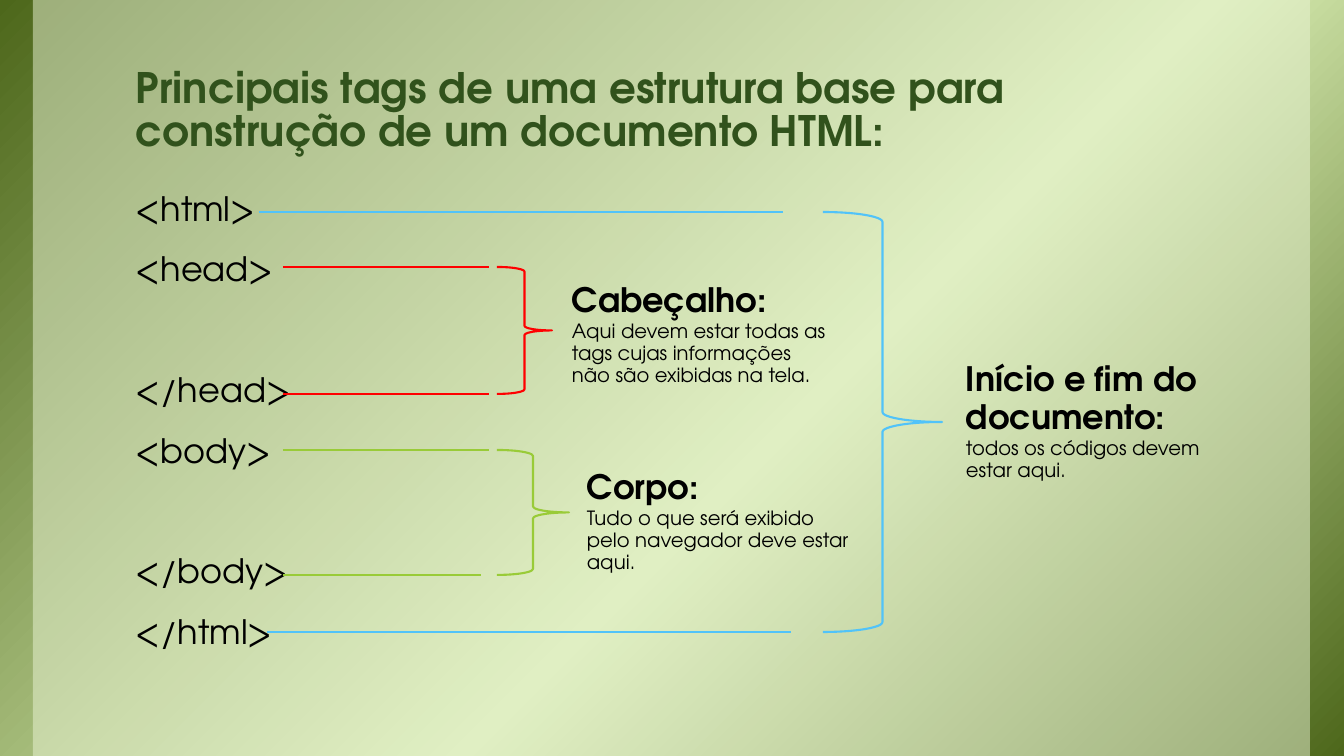
"""Builds a slide that explains the base tags of an HTML document."""
from copy import deepcopy

from lxml.etree import SubElement
from pptx import Presentation
from pptx.dml.color import RGBColor
from pptx.enum.shapes import MSO_CONNECTOR, MSO_SHAPE
from pptx.enum.text import MSO_ANCHOR, MSO_AUTO_SIZE, PP_ALIGN
from pptx.oxml.ns import qn
from pptx.util import Pt

PX = 914400 / 100.8
WIDTH, HEIGHT = 1344, 756
FONT = "TeX Gyre Adventor"
BLUE, RED, GREEN = "51C3F9", "FF0000", "99CB38"
BACKDROP = [(0, "4D671B"), (0.58, "D6EAAF"), (1, "4D671B")]
TITLE = "Principais tags de uma estrutura base para construção de um documento HTML:"
TITLE_BOX, TAGS_BOX = (123, 8, 1120, 154), (123, 187, 1120, 493)
STEP, GAP = 18.7, 61.8
TAGS = [("<html>", STEP), ("<head>", STEP), ("</head>", GAP),
        ("<body>", STEP), ("</body>", GAP), ("</html>", STEP)]
# Each section: colour, top and bottom y, line spans, brace x and width
SECTIONS = [
    (BLUE, 212, 632, (259, 783), (267, 791), 823, 119),
    (RED, 267, 394, (283, 489), (283, 489), 497, 55),
    (GREEN, 450, 575, (283, 489), (283, 481), 497, 72),
]
NOTES = [
    ((956, 356, 265, 133), [[("Início e fim do documento: ", 24, True),
                             ("todos os códigos devem estar aqui.", 14, False)]]),
    ((562, 277, 282, 117), [[("Cabeçalho:", 24, True)],
                            [("Aqui devem estar todas as tags cujas informações "
                              "não são exibidas na tela.", 14, False)]]),
    ((577, 464, 282, 117), [[("Corpo:", 24, True)],
                            [("Tudo o que será exibido pelo navegador deve estar aqui.",
                              14, False)]]),
]


def px(*lengths):
    return [round(length * PX) for length in lengths]


def rgb(value):
    return RGBColor.from_string(value)


def write(paragraph, text, size=24, bold=False, color="000000", spacing=0.95, before=0):
    paragraph.alignment = PP_ALIGN.LEFT
    paragraph.line_spacing = spacing
    paragraph.space_before = Pt(before)
    run = paragraph.add_run()
    run.text = text
    run.font.name, run.font.size, run.font.bold = FONT, Pt(size), bold
    run.font.color.rgb = rgb(color)


def paragraph_at(frame, index):
    return frame.add_paragraph() if index else frame.paragraphs[0]


def place(holder, box, anchor):
    holder.left, holder.top, holder.width, holder.height = px(*box)
    frame = holder.text_frame
    frame.margin_left, frame.margin_right = px(13, 13)
    frame.margin_top, frame.margin_bottom = px(7, 7)
    frame.vertical_anchor = anchor
    frame.auto_size = MSO_AUTO_SIZE.NONE
    frame.word_wrap = True
    return frame


def add_panel(slide, depth, *box):
    panel = slide.shapes.add_shape(MSO_SHAPE.RECTANGLE, *px(*box))
    panel.shadow.inherit = False
    panel.line.fill.background()
    slide.shapes._spTree.insert(2 + depth, panel._element)
    return panel


def add_backdrop(slide):
    fill = add_panel(slide, 0, 0, 0, WIDTH, HEIGHT).fill
    fill.gradient()
    fill.gradient_angle = 315
    first = fill.gradient_stops[0]._gs
    first.addnext(deepcopy(first))
    for stop, (position, color) in zip(fill.gradient_stops, BACKDROP):
        stop.position, stop.color.rgb = position, rgb(color)

    veil = add_panel(slide, 1, 33, 0, 1277, HEIGHT)
    veil.fill.solid()
    veil.fill.fore_color.rgb = rgb("EBF5D7")
    tint = veil._element.spPr.find(".//" + qn("a:srgbClr"))
    SubElement(tint, qn("a:alpha"), val="50000")


def add_section(slide, color, top, bottom, top_span, bottom_span, left, width):
    brace = slide.shapes.add_shape(MSO_SHAPE.RIGHT_BRACE, *px(left, top, width, bottom - top))
    brace.shadow.inherit = False
    brace.fill.background()
    strokes = [brace]
    for y, (start, end) in ((top, top_span), (bottom, bottom_span)):
        rule = slide.shapes.add_connector(MSO_CONNECTOR.STRAIGHT, *px(start, y, end, y))
        SubElement(rule._element.spPr, qn("a:effectLst"))
        strokes.append(rule)
    for stroke in strokes:
        stroke.line.color.rgb = rgb(color)
        stroke.line.width = Pt(1.5)


def add_note(slide, box, paragraphs):
    frame = slide.shapes.add_textbox(*px(*box)).text_frame
    frame.word_wrap = True
    for index, runs in enumerate(paragraphs):
        paragraph = paragraph_at(frame, index)
        for text, size, bold in runs:
            write(paragraph, text, size=size, bold=bold)


def main():
    deck = Presentation()
    deck.slide_width, deck.slide_height = px(WIDTH, HEIGHT)
    slide = deck.slides.add_slide(deck.slide_layouts[1])
    add_backdrop(slide)

    heading = place(slide.shapes.title, TITLE_BOX, MSO_ANCHOR.BOTTOM)
    write(heading.paragraphs[0], TITLE, size=30, bold=True, color="31521C", spacing=0.85)

    tags = place(slide.placeholders[1], TAGS_BOX, MSO_ANCHOR.TOP)
    for index, (tag, before) in enumerate(TAGS):
        paragraph = paragraph_at(tags, index)
        write(paragraph, tag, spacing=0.85, before=before)
        properties = paragraph._p.get_or_add_pPr()
        properties.set("marL", "0")
        properties.set("indent", "0")
        SubElement(properties, qn("a:buNone"))

    for section in SECTIONS:
        add_section(slide, *section)
    for box, paragraphs in NOTES:
        add_note(slide, box, paragraphs)
    deck.save("out.pptx")


if __name__ == "__main__":
    main()
